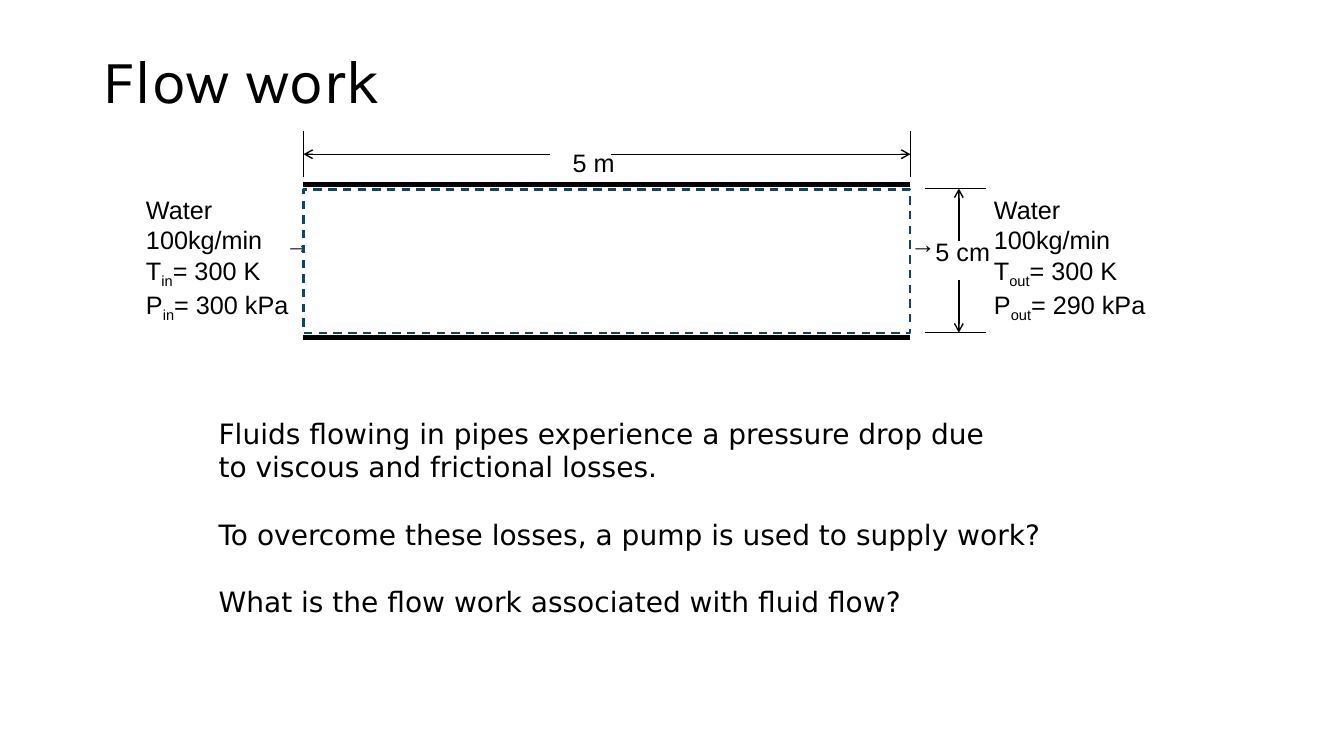
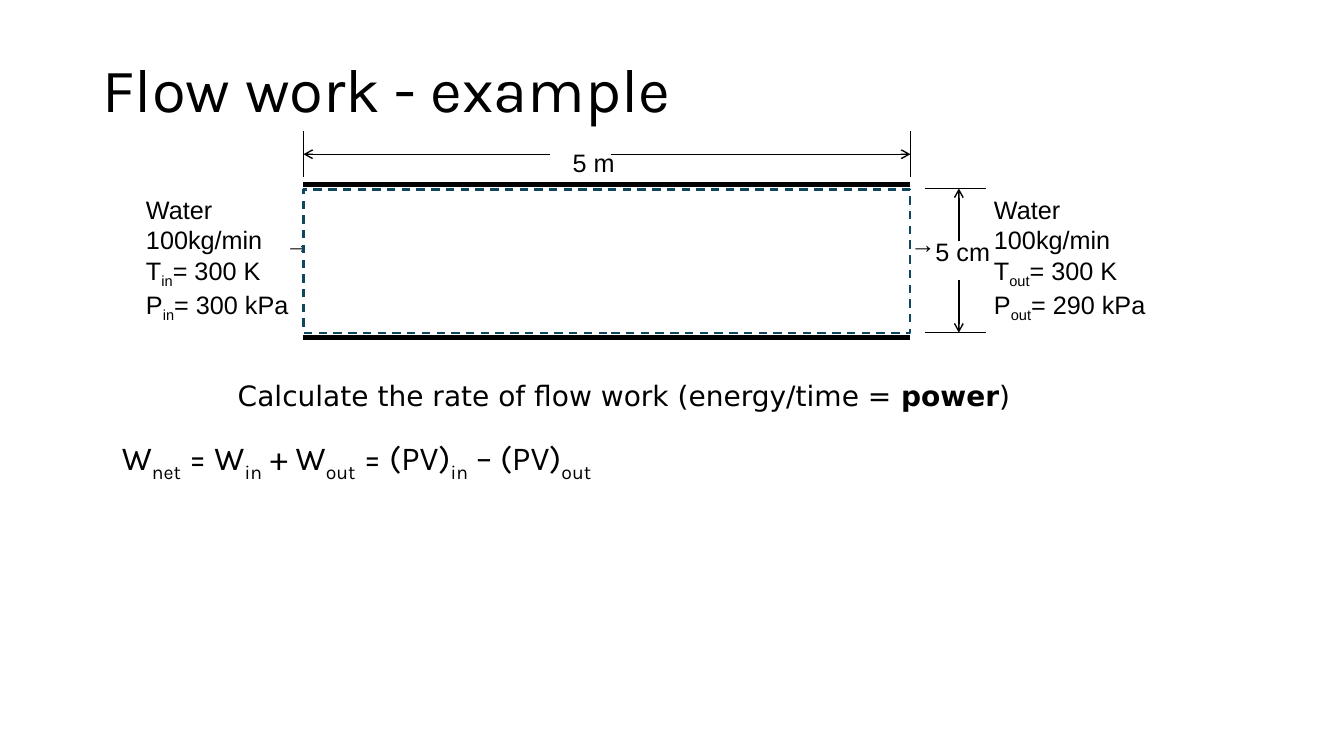
from lxml import etree
from pptx import Presentation
from pptx import util as u
from pptx.dml.color import RGBColor
from pptx.enum import dml, shapes, text
from pptx.oxml.ns import qn

BLACK = "000000"
DASH_BLUE = "104760"
TITLE_FONT, BODY_FONT, LABEL_FONT = "Karla", "DejaVu Sans", "Arial"

# Pipe geometry in inches
LEFT, RIGHT = 3.01, 9.03
TOP, BOTTOM = 1.88, 3.3
WALL_GAP = 0.05


def color(value):
    return RGBColor.from_string(value)


def write(box, content, size=18, font=LABEL_FONT, mark="sub", gap=0, spacing=None):
    """Fill a box; pieces between bars are subscript or bold, as mark says."""
    frame = box.text_frame
    for index, line in enumerate(content.split("\n")):
        para = frame.paragraphs[0] if index == 0 else frame.add_paragraph()
        if index and gap:
            para.space_before = u.Pt(gap)
        if spacing:
            para.line_spacing = spacing
        for number, piece in enumerate(line.split("|")):
            for part, words in enumerate(piece.split("\v")):
                if part:
                    para.add_line_break()
                span = para.add_run()
                span.text = words
                span.font.size = u.Pt(size)
                span.font.name = font
                span.font.color.rgb = color(BLACK)
                if number % 2 and mark == "bold":
                    span.font.bold = True
                elif number % 2:
                    span.font._element.set("baseline", "-25000")


class Slides:
    def __init__(self):
        self.deck = Presentation()
        self.deck.slide_width = u.Inches(13.33)
        self.deck.slide_height = u.Inches(7.5)
        self.page = None

    def new_page(self, title, title_height):
        self.page = self.deck.slides.add_slide(self.deck.slide_layouts[6])
        box = self.label(0.92, 0.4, 11.5, title_height, title,
                         size=44, font=TITLE_FONT, spacing=0.9)
        box.text_frame.vertical_anchor = text.MSO_ANCHOR.MIDDLE

    def label(self, left, top, width, height, content, **style):
        box = self.page.shapes.add_textbox(*map(u.Inches, (left, top, width, height)))
        box.text_frame.word_wrap = True
        write(box, content, **style)
        return box

    def line(self, x1, y1, x2, y2, weight=1, arrow=False):
        line = self.page.shapes.add_connector(
            shapes.MSO_CONNECTOR.STRAIGHT, *map(u.Inches, (x1, y1, x2, y2)))
        line.line.color.rgb = color(BLACK)
        line.line.width = u.Pt(weight)
        if arrow:
            outline = line.line._get_or_add_ln()
            etree.SubElement(outline, qn("a:tailEnd"), type="arrow")
        etree.SubElement(line._element.spPr, qn("a:effectLst"))

    def dashed_box(self, left, top, width, height):
        box = self.page.shapes.add_shape(
            shapes.MSO_SHAPE.RECTANGLE, *map(u.Inches, (left, top, width, height)))
        box.shadow.inherit = False
        box.fill.background()
        box.line.color.rgb = color(DASH_BLUE)
        box.line.width = u.Pt(1.5)
        box.line.dash_style = dml.MSO_LINE.DASH

    def pipe(self):
        # Length dimension
        for x, gap_edge in ((LEFT, 5.45), (RIGHT, 6.06)):
            self.line(x, 1.76, x, 1.3)
            self.line(gap_edge, 1.53, x, 1.53, arrow=True)
        self.label(5.58, 1.41, 1.49, 0.4, "5 m")

        # Diameter dimension
        for y, gap_edge in ((TOP - 0.01, 2.39), (BOTTOM, 2.78)):
            self.line(9.17, y, 9.78, y)
            self.line(9.51, gap_edge, 9.51, y, arrow=True)
        self.label(9.18, 2.3, 0.81, 0.4, "5 cm")

        # Inlet and outlet conditions with flow arrows
        for left, width, end, pressure, arrow_left in (
                (1.35, 1.83, "in", 300, 2.73), (9.76, 1.88, "out", 290, 8.93)):
            self.label(left, TOP, width, 1.31,
                       f"Water 100kg/min\nT|{end}|= 300 K\nP|{end}|= {pressure} kPa")
            self.label(arrow_left, 2.22, 0.45, 0.4, "→")

        # Pipe walls and control volume
        for y in (TOP - WALL_GAP, BOTTOM + WALL_GAP):
            self.line(LEFT, y, RIGHT, y, weight=4)
        self.dashed_box(LEFT, TOP, RIGHT - LEFT, BOTTOM - TOP)


def main():
    slides = Slides()

    # Flow work
    slides.new_page("Flow work", 0.85)
    slides.pipe()
    slides.label(2.07, 4.08, 8.6, 2.46,
                 "Fluids flowing in pipes experience a pressure drop due \v"
                 "to viscous and frictional losses.\n"
                 "To overcome these losses, a pump is used to supply work?\n"
                 "What is the flow work associated with fluid flow?",
                 size=20, font=BODY_FONT, gap=24)

    # Worked example
    slides.new_page("Flow work - example", 1.04)
    slides.pipe()
    slides.label(2.26, 3.71, 8.1, 0.77,
                 "Calculate the rate of flow work (energy/time = |power|)",
                 size=20, font=BODY_FONT, mark="bold")
    slides.label(1.11, 4.29, 5.83, 0.5,
                 "W|net| = W|in| + W|out| = (PV)|in| – (PV)|out|",
                 size=24, font=TITLE_FONT)

    slides.deck.save("out.pptx")


if __name__ == "__main__":
    main()
